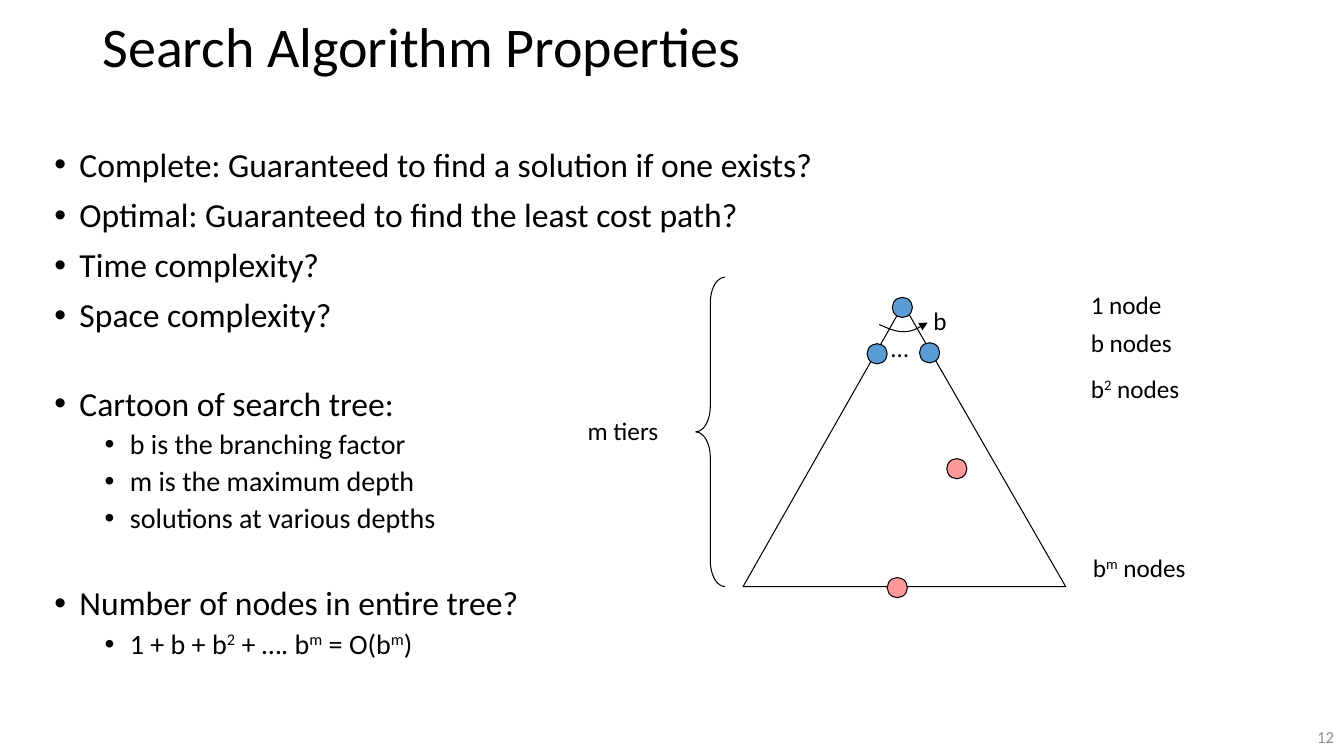
import pptx
import pptx.dml.color
import pptx.enum.shapes
import pptx.enum.text
import pptx.oxml.ns
import pptx.util
from lxml import etree
from pptx.util import Inches

BLACK = pptx.dml.color.RGBColor(0x00, 0x00, 0x00)
GRAY = pptx.dml.color.RGBColor(0x8C, 0x8C, 0x8C)
BLUE = pptx.dml.color.RGBColor(0x5B, 0x9B, 0xD5)
PINK = pptx.dml.color.RGBColor(0xFF, 0x99, 0x99)
FONT = "Calibri"
NODE_SIZE = 0.2
LABEL_HEIGHT = 0.4
SECTION_GAP = 37

LEVELS = [
    {"size": 24, "left": 0.25, "space_before": 10},
    {"size": 20, "left": 0.75, "space_before": 5},
]

# Level, text (superscripts between carets), space before where it differs
BULLETS = [
    (0, "Complete: Guaranteed to find a solution if one exists?", 0),
    (0, "Optimal: Guaranteed to find the least cost path?", None),
    (0, "Time complexity?", None),
    (0, "Space complexity?", None),
    (0, "Cartoon of search tree:", SECTION_GAP),
    (1, "b is the branching factor", None),
    (1, "m is the maximum depth", None),
    (1, "solutions at various depths", None),
    (0, "Number of nodes in entire tree?", SECTION_GAP),
    (1, "1 + b + b^2^ + …. b^m^ = O(b^m^)", None),
]

NODES = [
    (8.85, 2.95, BLUE),
    (8.6, 3.41, BLUE),
    (9.12, 3.4, BLUE),
    (8.8, 5.73, PINK),
    (9.39, 4.55, PINK),
]

LABELS = [
    (8.74, 3.25, 0.3, "…"),
    (9.16, 2.98, 0.33, "b"),
    (10.72, 2.82, 1.22, "1 node"),
    (10.72, 3.2, 1.22, "b nodes"),
    (10.72, 3.65, 1.22, "b^2^ nodes"),
    (10.74, 5.43, 1.6, "b^m^ nodes"),
    (5.73, 4.07, 1.38, "m tiers"),
]

TREE_CORNERS = [(7.37, 5.82), (10.57, 5.82), (8.96, 3.02)]
BRANCH_CURVES = [
    [(8.72, 3.22), (8.81, 3.26), (8.9, 3.3), (8.98, 3.29)],
    [(8.98, 3.29), (9.06, 3.29), (9.13, 3.24), (9.2, 3.2)],
]


def set_attributes(target, values):
    for name, value in values.items():
        setattr(target, name, value)


def add_text_box(slide, left, top, width, height, anchor="TOP"):
    box = slide.shapes.add_textbox(
        Inches(left), Inches(top), Inches(width), Inches(height))
    set_attributes(box.text_frame, {
        "word_wrap": True,
        "vertical_anchor": getattr(pptx.enum.text.MSO_ANCHOR, anchor),
    })
    return box.text_frame


def write_text(paragraph, text, size, color=BLACK):
    """Write text whose parts between carets are superscripts."""
    for index, part in enumerate(text.split("^")):
        if not part:
            continue
        run = paragraph.add_run()
        run.text = part
        set_attributes(run.font, {"name": FONT, "size": pptx.util.Pt(size)})
        run.font.color.rgb = color
        if index % 2:
            run._r.get_or_add_rPr().set("baseline", "30000")


def add_bullets(slide):
    frame = add_text_box(slide, 0.44, 1.42, 12.44, 5.17)
    for index, (level, text, gap) in enumerate(BULLETS):
        paragraph = frame.add_paragraph() if index else frame.paragraphs[0]
        style = LEVELS[level]
        properties = paragraph._p.get_or_add_pPr()
        properties.set("marL", str(Inches(style["left"])))
        properties.set("indent", str(-Inches(0.25)))
        font = etree.SubElement(properties, pptx.oxml.ns.qn("a:buFont"))
        font.set("typeface", "Arial")
        bullet = etree.SubElement(properties, pptx.oxml.ns.qn("a:buChar"))
        bullet.set("char", "•")
        space = style["space_before"] if gap is None else gap
        set_attributes(paragraph, {
            "level": level,
            "line_spacing": 0.9,
            "space_before": pptx.util.Pt(space),
        })
        write_text(paragraph, text, style["size"])


def outline(shape, fill=None):
    shape.shadow.inherit = False
    if fill is None:
        shape.fill.background()
    else:
        shape.fill.solid()
        shape.fill.fore_color.rgb = fill
    shape.line.color.rgb = BLACK
    shape.line.width = pptx.util.Pt(0.75)


def add_path(slide, points, close):
    start, *rest = [(Inches(x), Inches(y)) for x, y in points]
    builder = slide.shapes.build_freeform(*start)
    builder.add_line_segments(rest, close=close)
    shape = builder.convert_to_shape()
    outline(shape)
    return shape


def curve_points(curve, steps=8):
    """Sample a cubic Bezier curve, leaving out its start."""
    for step in range(1, steps + 1):
        t = step / steps
        weights = [(1 - t) ** 3, 3 * t * (1 - t) ** 2, 3 * t * t * (1 - t), t ** 3]
        yield tuple(sum(w * point[axis] for w, point in zip(weights, curve))
                    for axis in range(2))


def add_branch_arrow(slide):
    points = [BRANCH_CURVES[0][0]]
    for curve in BRANCH_CURVES:
        points.extend(curve_points(curve))
    arrow = add_path(slide, points, close=False)
    line = arrow._element.spPr.find(pptx.oxml.ns.qn("a:ln"))
    etree.SubElement(line, pptx.oxml.ns.qn("a:tailEnd")).set("type", "triangle")


def add_node(slide, left, top, color):
    node = slide.shapes.add_shape(
        pptx.enum.shapes.MSO_SHAPE.OVAL,
        Inches(left), Inches(top), Inches(NODE_SIZE), Inches(NODE_SIZE))
    outline(node, color)


def add_depth_brace(slide):
    brace = slide.shapes.add_shape(
        pptx.enum.shapes.MSO_SHAPE.LEFT_BRACE,
        Inches(6.9), Inches(2.75), Inches(0.29), Inches(3.07))
    brace.adjustments[0] = 0.88
    brace.adjustments[1] = 0.5
    outline(brace)


def main():
    presentation = pptx.Presentation()
    set_attributes(presentation, {
        "slide_width": Inches(13.33), "slide_height": Inches(7.5)})
    slide = presentation.slides.add_slide(presentation.slide_layouts[6])

    title = add_text_box(slide, 0.92, 0.13, 11.5, 0.73, "MIDDLE").paragraphs[0]
    title.line_spacing = 0.9
    write_text(title, "Search Algorithm Properties", 40)
    add_bullets(slide)

    add_path(slide, TREE_CORNERS, close=True)
    for node in NODES:
        add_node(slide, *node)
    add_branch_arrow(slide)
    add_depth_brace(slide)
    for left, top, width, text in LABELS:
        label = add_text_box(slide, left, top, width, LABEL_HEIGHT)
        write_text(label.paragraphs[0], text, 18)

    number = add_text_box(slide, 12.74, 7.12, 0.59, 0.38, "MIDDLE").paragraphs[0]
    number.alignment = pptx.enum.text.PP_ALIGN.RIGHT
    write_text(number, "12", 12, GRAY)
    presentation.save("out.pptx")


if __name__ == "__main__":
    main()
